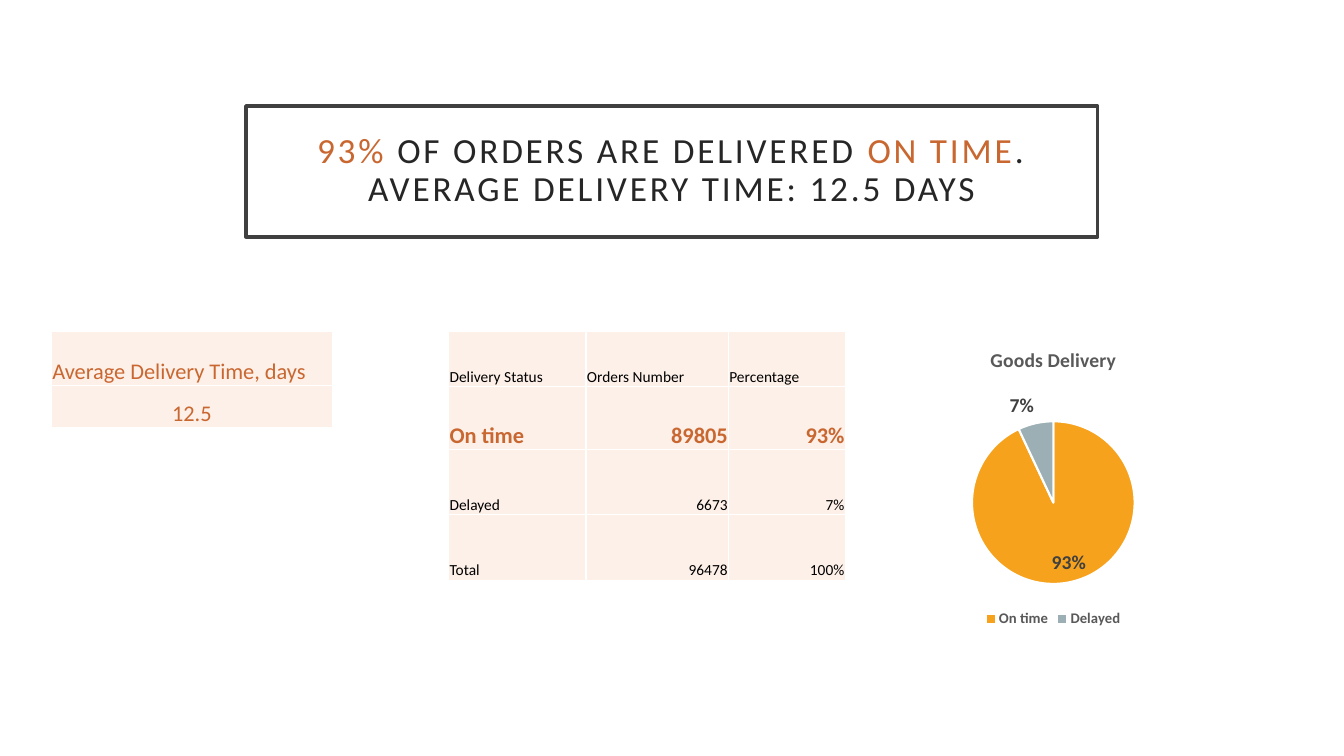
from lxml import etree
from pptx import Presentation
from pptx.chart.data import CategoryChartData
from pptx.dml.color import RGBColor
from pptx.enum.chart import XL_CHART_TYPE, XL_LABEL_POSITION, XL_LEGEND_POSITION
from pptx.enum.text import MSO_ANCHOR, MSO_AUTO_SIZE, PP_ALIGN
from pptx.oxml import parse_xml
from pptx.oxml.ns import nsdecls, qn
from pptx.util import Cm, Pt

LEFT, CENTER, RIGHT = PP_ALIGN.LEFT, PP_ALIGN.CENTER, PP_ALIGN.RIGHT
MIDDLE, BOTTOM = MSO_ANCHOR.MIDDLE, MSO_ANCHOR.BOTTOM
NO_AUTOFIT = MSO_AUTO_SIZE.NONE
PIE = XL_CHART_TYPE.PIE
BEST_FIT = XL_LABEL_POSITION.BEST_FIT
LEGEND_BOTTOM = XL_LEGEND_POSITION.BOTTOM
TITLE_ONLY = 5


def color(value):
    return RGBColor.from_string(value)


class DeliverySlide:
    """Holds the style and the current slide, and adds each kind of element."""

    face = "Calibri"
    accent, ink, paper = "C96731", "262626", "FFFFFF"
    frame, label, muted, tint = "404040", "404040", "595959", "FDF0E8"

    def __init__(self, deck):
        self.slide = deck.slides.add_slide(deck.slide_layouts[TITLE_ONLY])

    def style(self, font, size, shade, bold=False):
        font.name, font.size, font.bold = self.face, Pt(size), bold
        font.color.rgb = color(shade)

    def title(self, box, lines):
        heading = self.slide.shapes.title
        heading.left, heading.top, heading.width, heading.height = map(Cm, box)
        heading.fill.solid()
        heading.fill.fore_color.rgb = color(self.paper)
        heading.line.color.rgb = color(self.frame)
        heading.line.width = Pt(2.5)
        frame = heading.text_frame
        frame.auto_size, frame.word_wrap = NO_AUTOFIT, True
        frame.vertical_anchor = MIDDLE
        frame.margin_left = frame.margin_right = Cm(0.5)
        frame.margin_top = frame.margin_bottom = Cm(0.5)
        paragraph = frame.paragraphs[0]
        paragraph.alignment, paragraph.line_spacing = CENTER, 0.9
        self.style(paragraph.font, 25.2, self.ink)
        for number, line in enumerate(lines):
            if number:
                paragraph.add_line_break()
            for words, shade in line:
                run = paragraph.add_run()
                run.text = words
                self.style(run.font, 25.2, shade)
                run.font._element.set("spc", "200")

    def borders(self, cell):
        properties = cell._tc.get_or_add_tcPr()
        for side in "LRTB":
            properties.append(parse_xml(
                f'<a:ln{side} {nsdecls("a")} w="12700"><a:solidFill>'
                f'<a:srgbClr val="{self.paper}"/></a:solidFill></a:ln{side}>'))

    def table(self, left, top, widths, heights, rows, aligns, accent_rows, bold=False):
        table = self.slide.shapes.add_table(
            len(heights), len(widths), Cm(left), Cm(top),
            Cm(sum(widths)), Cm(sum(heights))).table
        for column, width in zip(table.columns, widths):
            column.width = Cm(width)
        for row, height in zip(table.rows, heights):
            row.height = Cm(height)
        for r, values in enumerate(rows):
            size, shade = (16, self.accent) if r in accent_rows else (11, "000000")
            for c, value in enumerate(values):
                cell = table.cell(r, c)
                self.borders(cell)
                cell.fill.solid()
                cell.fill.fore_color.rgb = color(self.tint)
                cell.vertical_anchor = BOTTOM
                cell.margin_left = cell.margin_right = cell.margin_top = Cm(0.02)
                cell.margin_bottom = 0
                cell.text = value
                paragraph = cell.text_frame.paragraphs[0]
                paragraph.alignment = aligns[c] if r else LEFT
                self.style(paragraph.font, size, shade, bold and r in accent_rows)

    def pie(self, box, heading, shares, fills, plot_box):
        data = CategoryChartData(number_format="0%")
        data.categories = list(shares)
        data.add_series(heading, list(shares.values()))
        chart = self.slide.shapes.add_chart(PIE, *map(Cm, box), data).chart
        self.style(chart.font, 10, "000000")
        chart.has_title = True
        chart.chart_title.include_in_layout = False
        caption = chart.chart_title.text_frame
        caption.text = heading
        self.style(caption.paragraphs[0].font, 14, self.muted, True)
        chart.has_legend = True
        chart.legend.position = LEGEND_BOTTOM
        chart.legend.include_in_layout = False
        self.style(chart.legend.font, 10.5, self.muted, True)
        plot = chart.plots[0]
        plot.vary_by_categories = True
        for number, fill in enumerate(fills):
            wedge = plot.series[0].points[number].format
            wedge.fill.solid()
            wedge.fill.fore_color.rgb = color(fill)
            wedge.line.color.rgb = color(self.paper)
            wedge.line.width = Pt(1.5)
        labels = plot.series[0].data_labels
        labels.show_value = True
        labels.number_format, labels.number_format_is_linked = "0%", False
        labels.position = BEST_FIT
        self.style(labels.font, 14, self.label, True)
        self.place_plot(chart, plot_box)

    def place_plot(self, chart, plot_box):
        area = chart._chartSpace.find(".//" + qn("c:plotArea"))
        for old in area.findall(qn("c:layout")):
            area.remove(old)
        layout = etree.Element(qn("c:layout"))
        manual = etree.SubElement(layout, qn("c:manualLayout"))
        settings = [("layoutTarget", "inner"), ("xMode", "edge"), ("yMode", "edge")]
        for tag, value in settings + list(zip("xywh", plot_box)):
            etree.SubElement(manual, qn("c:" + tag)).set("val", str(value))
        area.insert(0, layout)


deck = Presentation()
deck.slide_width, deck.slide_height = Cm(33.87), Cm(19.05)
page = DeliverySlide(deck)
page.title((6.2, 2.67, 21.46, 3.3), [
    [("93% ", page.accent), ("OF ORDERS ARE DELIVERED ", page.ink),
     ("ON TIME", page.accent), (".", page.ink)],
    [("AVERAGE DELIVERY TIME: 12.5 DAYS", page.ink)],
])
tables_top = 8.34
page.table(11.31, tables_top, [3.46, 3.59, 2.94], [1.4, 1.58, 1.65, 1.65], [
    ("Delivery Status", "Orders Number", "Percentage"),
    ("On time", "89805", "93%"),
    ("Delayed", "6673", "7%"),
    ("Total", "96478", "100%"),
], [LEFT, RIGHT, RIGHT], {1}, bold=True)
page.table(1.3, tables_top, [7.07], [1.37, 1.07],
           [("Average Delivery Time, days",), ("12.5",)], [CENTER], {0, 1})
page.pie((19.22, tables_top, 14.65, 7.59), "Goods Delivery",
         {"On time": 0.93, "Delayed": 0.07}, ["F6A21D", "9BAFB5"],
         (0.36, 0.3, 0.28, 0.54))
deck.save("out.pptx")
